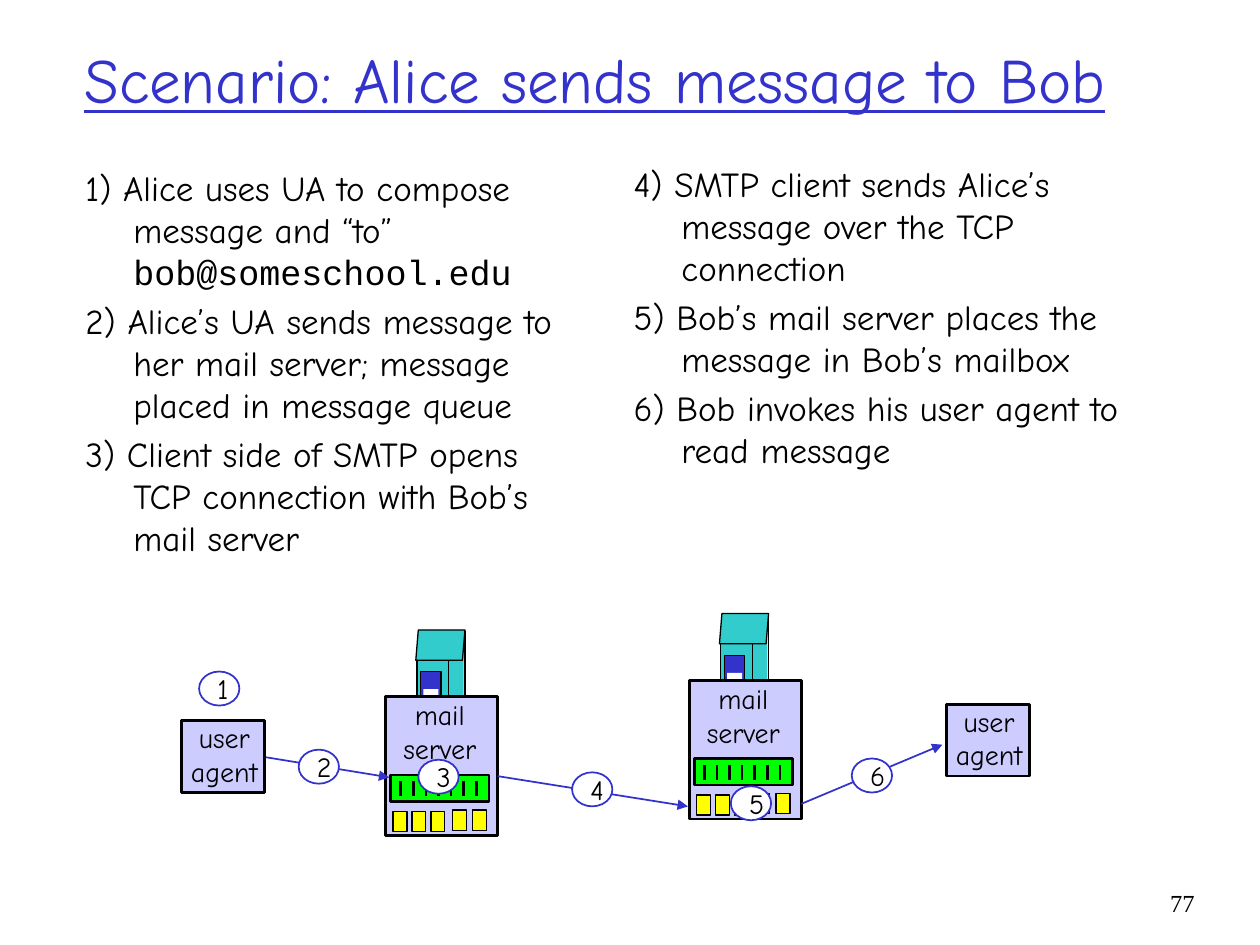
from typing import NamedTuple

from pptx import Presentation
from pptx.dml.color import RGBColor
from pptx.oxml import ns
from pptx.oxml.xmlchemy import OxmlElement
from pptx.util import Emu, Pt
from pptx.enum import shapes, text

SCALE = 9144  # EMU per px, 100 px to the inch
BLACK, WHITE, BLUE = "000000", "FFFFFF", "3333CC"
TEAL, LAVENDER, GREEN, YELLOW = "33CCCC", "CCCCFF", "00FF00", "FFFF00"
HAND, MONO, SERIF = "Comic Neue", "Courier New", "Times New Roman"
RECT = shapes.MSO_SHAPE.RECTANGLE
ROOF = shapes.MSO_SHAPE.PARALLELOGRAM
OVAL = shapes.MSO_SHAPE.OVAL
LEFT, CENTER, RIGHT = text.PP_ALIGN.LEFT, text.PP_ALIGN.CENTER, text.PP_ALIGN.RIGHT


class Box(NamedTuple):
    x: int
    y: int
    w: int
    h: int

    def moved(self, dx: int, dy: int) -> "Box":
        return Box(self.x + dx, self.y + dy, self.w, self.h)


class Run(NamedTuple):
    words: str
    size: int = 20
    font: str = HAND
    color: str = BLACK
    underline: bool = False


class Part(NamedTuple):
    box: Box
    fill: str
    line: float = 0
    kind: shapes.MSO_SHAPE = RECT


class Arrow(NamedTuple):
    x1: int
    y1: int
    x2: int
    y2: int


def px(length: int) -> Emu:
    return Emu(length * SCALE)


def rgb(color: str) -> RGBColor:
    return RGBColor.from_string(color)


def write(frame, paragraphs: list[list[Run]], align=LEFT, hanging: int = 0, gap: int = 0) -> None:
    frame.word_wrap = True
    for index, runs in enumerate(paragraphs):
        paragraph = frame.add_paragraph() if index else frame.paragraphs[0]
        paragraph.alignment = align
        if index and gap:
            paragraph.space_before = Pt(gap)
        if hanging:
            properties = paragraph._p.get_or_add_pPr()
            properties.set("marL", str(px(hanging)))
            properties.set("indent", str(px(-hanging)))
        for item in runs:
            run = paragraph.add_run()
            run.text = item.words
            run.font.size = Pt(item.size)
            run.font.name = item.font
            run.font.color.rgb = rgb(item.color)
            if item.underline:
                run.font.underline = True


def add_text(parent, box: Box, paragraphs: list[list[Run]], anchor=text.MSO_ANCHOR.TOP, **style) -> None:
    frame = parent.shapes.add_textbox(*map(px, box)).text_frame
    frame.vertical_anchor = anchor
    write(frame, paragraphs, **style)


def add_part(parent, part: Part, outline: str = BLACK):
    shape = parent.shapes.add_shape(part.kind, *map(px, part.box))
    shape.shadow.inherit = False
    shape.fill.solid()
    shape.fill.fore_color.rgb = rgb(part.fill)
    if part.line:
        shape.line.color.rgb = rgb(outline)
        shape.line.width = Pt(part.line)
    else:
        shape.line.fill.background()
    if part.kind == ROOF:
        shape.adjustments[0] = 0.083
    return shape


def add_line(parent, ends: Arrow, width: float, color: str = BLACK, pointed: bool = False) -> None:
    line = parent.shapes.add_connector(shapes.MSO_CONNECTOR.STRAIGHT, *map(px, ends))
    line.line.color.rgb = rgb(color)
    line.line.width = Pt(width)
    properties = line.element.spPr
    if pointed:
        tail = OxmlElement("a:tailEnd")
        tail.set("type", "triangle")
        properties.find(ns.qn("a:ln")).append(tail)
    properties.append(OxmlElement("a:effectLst"))


def add_label(parent, box: Box, *words: str) -> None:
    add_text(parent, box, [[Run(word, 16)] for word in words], align=CENTER)


def add_agent(slide, x: int, y: int) -> None:
    group = slide.shapes.add_group_shape()
    add_part(group, Part(Box(x, y, 66, 57), LAVENDER, 1.5))
    add_label(group, Box(x - 5, y - 5, 78, 64), "user", "agent")


BUILDING = [
    Part(Box(44, -53, 18, 78), TEAL),
    Part(Box(25, -30, 25, 78), TEAL, 0.75),
    Part(Box(24, -53, 39, 24), TEAL, 0.75, ROOF),
]
DOOR = [
    Part(Box(28, -20, 16, 45), BLUE, 0.75),
    Part(Box(30, -6, 12, 16), WHITE),
    Part(Box(0, 0, 89, 110), LAVENDER, 1.5),
]
QUEUE = Part(Box(4, 62, 78, 21), GREEN, 1.5)
MAILBOXES = [(6, 91), (21, 91), (36, 91), (53, 90), (69, 90)]


def add_server(slide, x: int, y: int) -> None:
    group = slide.shapes.add_group_shape()

    def place(part: Part) -> None:
        add_part(group, part._replace(box=part.box.moved(x, y)))

    # Building behind the server
    for part in BUILDING:
        place(part)
    add_line(group, Arrow(x + 63, y - 52, x + 63, y + 25), 0.75)
    for part in DOOR:
        place(part)
    add_label(group, Box(x - 1, y - 4, 88, 64), "mail", "server")
    # Message queue and mailboxes
    place(QUEUE)
    for slot in range(7):
        bar = x + 12 + 10 * slot
        add_line(group, Arrow(bar, y + 67, bar, y + 79), 1.5)
    for left, top in MAILBOXES:
        place(Part(Box(left, top, 11, 16), YELLOW, 0.75))


FIRST_STEPS = [
    [Run("1) Alice uses UA to compose message and “to” "), Run("bob@someschool.edu", font=MONO)],
    [Run("2) Alice’s UA sends message to her mail server; message placed in message queue")],
    [Run("3) Client side of SMTP opens TCP connection with Bob’s mail server")],
]
LAST_STEPS = [
    [Run("4) SMTP client sends Alice’s message over the TCP connection")],
    [Run("5) Bob’s mail server places the message in Bob’s mailbox")],
    [Run("6) Bob invokes his user agent to read message")],
]
ROUTE = [Arrow(211, 601, 309, 617), Arrow(395, 616, 546, 640), Arrow(636, 638, 748, 591)]
STEP_MARKS = [(158, 533), (237, 595), (332, 603), (454, 613), (580, 624), (676, 602)]


def main() -> None:
    deck = Presentation()
    deck.slide_width, deck.slide_height = px(1000), px(750)
    slide = deck.slides.add_slide(deck.slide_layouts[6])

    # Page number, title and the two columns of steps
    add_text(slide, Box(908, 700, 50, 50), [[Run("77", 14, SERIF)]], align=RIGHT)
    title = Run("Scenario: Alice sends message to Bob", 36, HAND, BLUE, True)
    add_text(slide, Box(57, 0, 901, 125), [[title]], text.MSO_ANCHOR.MIDDLE)
    add_text(slide, Box(58, 127, 417, 352), FIRST_STEPS, hanging=38, gap=4)
    add_text(slide, Box(493, 124, 417, 357), LAST_STEPS, hanging=38, gap=4)

    # Agents and servers along the route
    add_agent(slide, 144, 572)
    add_server(slide, 306, 553)
    add_server(slide, 547, 540)
    add_agent(slide, 751, 559)
    for leg in ROUTE:
        add_line(slide, leg, 1, BLUE, pointed=True)

    # Numbered step marks
    for number, (x, y) in enumerate(STEP_MARKS, 1):
        mark = add_part(slide, Part(Box(x, y, 32, 27), WHITE, 1, OVAL), BLUE)
        mark.text_frame.vertical_anchor = text.MSO_ANCHOR.MIDDLE
        write(mark.text_frame, [[Run(str(number), 16)]], align=CENTER)

    deck.save("out.pptx")


if __name__ == "__main__":
    main()
